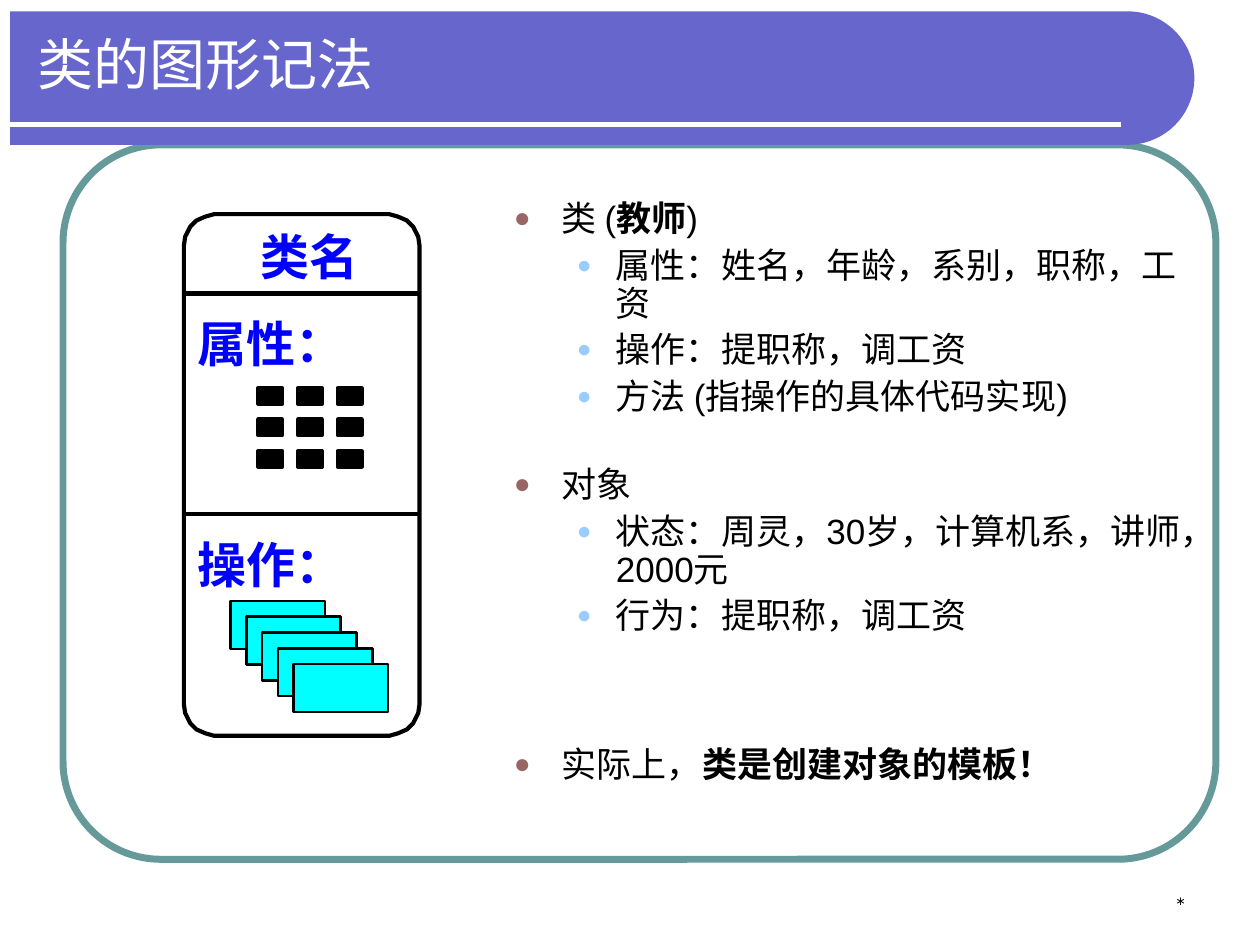
import math
from lxml import etree
from pptx import Presentation
from pptx import util as u
from pptx.dml import color
from pptx.enum import lang, shapes, text
from pptx.oxml import ns

CELL = u.Inches(0.1)


def grid(*cells):
    return [round(cell * CELL) for cell in cells]


def style(item, fill=None, line=None, width=None, size=None, name=None, ink=None, bold=None):
    if size:
        values = {"size": u.Pt(size), "name": name, "bold": bold,
                  "language_id": lang.MSO_LANGUAGE_ID.SIMPLIFIED_CHINESE}
        for key, value in values.items():
            setattr(item.font, key, value)
        item.font.color.rgb = color.RGBColor.from_string(ink)
        return
    if hasattr(item, "begin_x"):
        etree.SubElement(item._element.spPr, ns.qn("a:effectLst"))
    else:
        item.shadow.inherit = False
        if fill:
            item.fill.solid()
            item.fill.fore_color.rgb = color.RGBColor.from_string(fill)
        else:
            item.fill.background()
    if line:
        item.line.color.rgb = color.RGBColor.from_string(line)
        item.line.width = u.Pt(width)
    else:
        item.line.fill.background()


deck = Presentation()
deck.slide_width, deck.slide_height = grid(100, 75)
slide = deck.slides.add_slide(deck.slide_layouts[5])
RECT = shapes.MSO_SHAPE.RECTANGLE
STRAIGHT = shapes.MSO_CONNECTOR.STRAIGHT

frame = slide.shapes.add_shape(shapes.MSO_SHAPE.ROUNDED_RECTANGLE, *grid(5, 11.5, 91.5, 56.7))
frame.adjustments[0] = 0.137
style(frame, line="669999", width=4)

radius = 5.3
arc = [math.radians(degrees) for degrees in range(-90, 91, 5)]
band_points = [(0.8, 0.9)]
band_points += [(89.5 + radius * math.cos(a), 6.2 + radius * math.sin(a)) for a in arc]
band_points += [(0.8, 11.5)]
builder = slide.shapes.build_freeform(*grid(*band_points[0]))
builder.add_line_segments([grid(*point) for point in band_points[1:]])
style(builder.convert_to_shape(), fill="6666CC")

underline = slide.shapes.add_connector(STRAIGHT, *grid(0, 9.9, 89, 9.9))
style(underline, line="FFFFFF", width=3)

footer = slide.shapes.add_textbox(*grid(71.7, 68.3, 23.3, 5)).text_frame
footer.word_wrap = True
footer.vertical_anchor = text.MSO_ANCHOR.BOTTOM
footer.paragraphs[0].alignment = text.PP_ALIGN.RIGHT
mark = footer.paragraphs[0].add_run()
mark.text = "*"
style(mark, size=12, name="Montserrat", ink="000000")

title = slide.shapes.title
title.left, title.top, title.width, title.height = grid(2, 0, 87.7, 10)
title.text_frame.vertical_anchor = text.MSO_ANCHOR.MIDDLE
title.text_frame.auto_size = text.MSO_AUTO_SIZE.NONE
heading = title.text_frame.paragraphs[0]
heading.alignment = text.PP_ALIGN.LEFT
heading_run = heading.add_run()
heading_run.text = "类的图形记法"
style(heading_run, size=32, name="Arial", ink="FFFFFF", bold=False)
slide.shapes._spTree.append(title._element)

notation = slide.shapes.add_group_shape().shapes
left, top, right, bottom = 14.6, 17, 33.3, 58.4
corner = [(0, 2.5), (0.1, 1.8), (0.5, 1), (1, 0.5), (1.7, 0.2), (2.4, 0)]
class_points = [(left + x, top + y) for x, y in corner]
class_points += [(right - x, top + y) for x, y in reversed(corner)]
class_points += [(right - x, bottom - y) for x, y in corner]
class_points += [(left + x, bottom - y) for x, y in reversed(corner)]
builder = notation.build_freeform(*grid(*class_points[0]))
builder.add_line_segments([grid(*point) for point in class_points[1:]])
style(builder.convert_to_shape(), fill="FFFFFF", line="000000", width=2.38)

for y in (23.3, 40.8):
    divider = notation.add_connector(STRAIGHT, *grid(left, y, right, y))
    style(divider, line="000000", width=2.38)

for row in range(3):
    for column in range(3):
        attribute = notation.add_shape(
            RECT, *grid(20.5 + 3.15 * column, 30.8 + 2.5 * row, 1.9, 1.25))
        style(attribute, fill="000000", line="000000", width=2.38)

for label, x, y, width in (("类名", 20.7, 18, 7.8), ("属性：", 15.7, 24.9, 11.7),
                           ("操作：", 15.7, 42.4, 11.7)):
    section = notation.add_textbox(*grid(x, y, width, 4.7)).text_frame
    section_format = {"margin_left": 0, "margin_top": 0, "margin_right": 0, "margin_bottom": 0,
                      "word_wrap": False, "auto_size": text.MSO_AUTO_SIZE.SHAPE_TO_FIT_TEXT}
    for key, value in section_format.items():
        setattr(section, key, value)
    section_run = section.paragraphs[0].add_run()
    section_run.text = label
    style(section_run, size=28, name="Noto Sans CJK SC", ink="0000FF", bold=True)

for step in range(5):
    operation = notation.add_shape(RECT, *grid(18.3 + 1.25 * step, 47.7 + 1.25 * step, 7.5, 3.8))
    style(operation, fill="00FFFF", line="000000", width=1.5)

points = [
    (0, 0, [("类 (", False), ("教师", True), (")", False)]),
    (1, 5, [("属性：姓名，年龄，系别，职称，工资", False)]),
    (1, 5, [("操作：提职称，调工资", False)]),
    (1, 5, [("方法 (指操作的具体代码实现)", False)]),
    (0, 29, [("对象", False)]),
    (1, 5, [("状态：周灵，30岁，计算机系，讲师，2000元", False)]),
    (1, 5, [("行为：提职称，调工资", False)]),
    (0, 63.5, [("实际上，", False), ("类是创建对象的模板！", True)]),
]
bullets = [(3.8, 3.8, "996666", 80), (8.1, 3.1, "99CCFF", 70)]
body = slide.shapes.add_textbox(*grid(39.8, 11.5, 55.2, 60.3)).text_frame
body.word_wrap = True
body.margin_top = grid(4.5)[0]
for number, (level, gap, runs) in enumerate(points):
    point = body.add_paragraph() if number else body.paragraphs[0]
    for key, value in {"level": level, "line_spacing": 0.9, "space_before": u.Pt(gap)}.items():
        setattr(point, key, value)
    margin, hanging, tint, share = bullets[level]
    properties = point._p.get_or_add_pPr()
    properties.set("marL", str(grid(margin)[0]))
    properties.set("indent", str(-grid(hanging)[0]))
    bullet_color = etree.SubElement(properties, ns.qn("a:buClr"))
    etree.SubElement(bullet_color, ns.qn("a:srgbClr"), val=tint)
    etree.SubElement(properties, ns.qn("a:buSzPct"), val=str(share * 1000))
    etree.SubElement(properties, ns.qn("a:buFont"), typeface="Arial")
    etree.SubElement(properties, ns.qn("a:buChar"), char="●")
    for words, bold in runs:
        run = point.add_run()
        run.text = words
        style(run, size=20, name="Arial", ink="000000", bold=bold)

deck.save("out.pptx")
